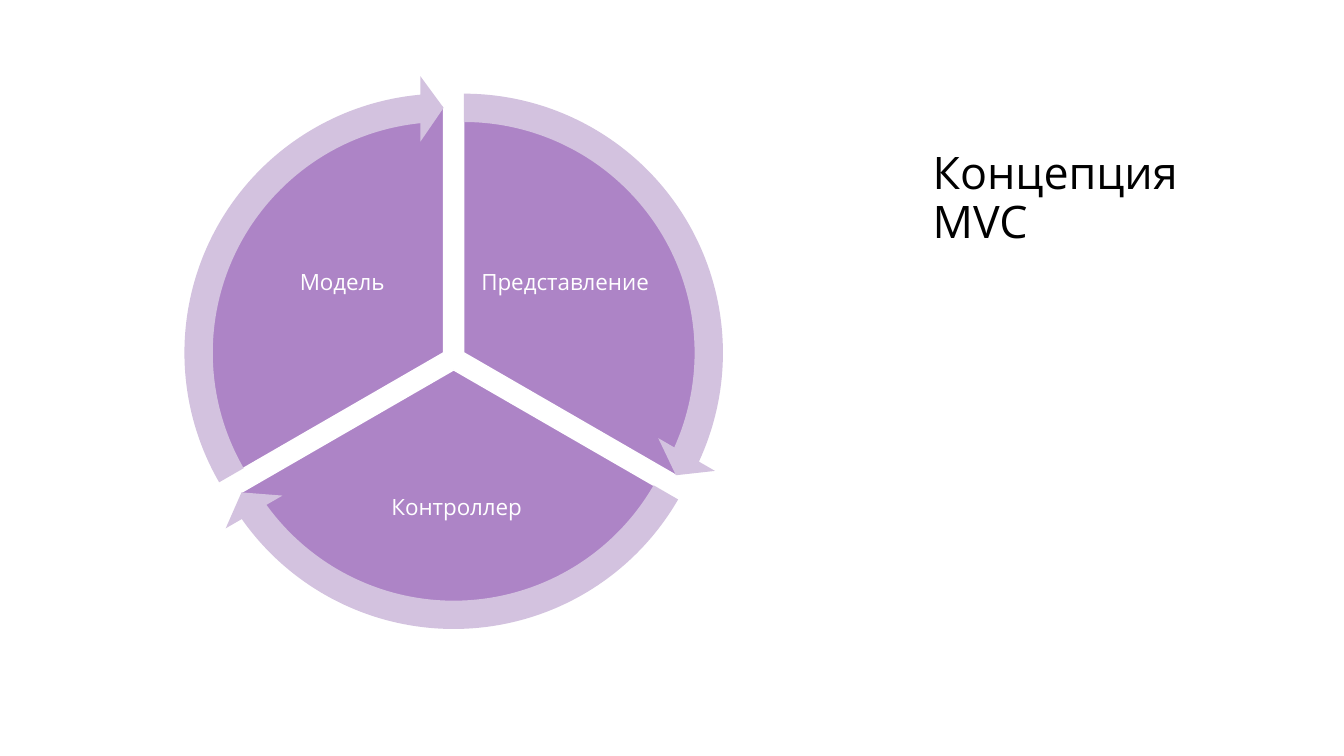
from pptx import Presentation
from pptx.dml.color import RGBColor
from pptx.enum.shapes import MSO_SHAPE as Preset
from pptx.enum.text import MSO_ANCHOR as Anchor, MSO_AUTO_SIZE as AutoSize, PP_ALIGN as Align
from pptx.util import Inches, Pt

COLORS = {"sector": "AD84C6", "arrow": "D3C2DF", "white": "FFFFFF", "title": "000000"}
PIE_SIZE, ARROW_SIZE = 4.9, 5.51
ARROW_SHIFT = (ARROW_SIZE - PIE_SIZE) / 2
BAND, HEAD_ANGLE, HEAD_WIDTH = 0.051, 3.27, 0.059
SECTORS = [
    ("Представление", 162, 18, (2.15, 1.05), (4.73, 2.08, 1.75, 1.46)),
    ("Контроллер", 18, 90, (2.05, 1.22), (3.22, 4.4, 2.62, 1.28)),
    ("Модель", 90, 162, (1.95, 1.05), (2.52, 2.08, 1.75, 1.46)),
]


class CycleSlide:
    """Holds the style and the slide of a cycle diagram."""

    font = "Open Sans"

    def __init__(self, deck):
        self.slide = deck.slides.add_slide(deck.slide_layouts[5])

    def color(self, name):
        return RGBColor.from_string(COLORS[name])

    def set_text(self, frame, text, size, color, align, anchor, inset):
        frame.text = text
        frame.word_wrap = True
        frame.auto_size = AutoSize.NONE
        frame.vertical_anchor = anchor
        frame.margin_left = frame.margin_right = Inches(inset)
        frame.margin_top = frame.margin_bottom = Inches(inset)
        paragraph = frame.paragraphs[0]
        paragraph.alignment = align
        paragraph.line_spacing = 0.9
        font = paragraph.runs[0].font
        font.name, font.size = self.font, Pt(size)
        font.color.rgb = self.color(color)

    def title(self, text, left, top, width, height):
        heading = self.slide.shapes.title
        heading.left, heading.top = Inches(left), Inches(top)
        heading.width, heading.height = Inches(width), Inches(height)
        self.set_text(heading.text_frame, text, 32, "title", Align.LEFT, Anchor.BOTTOM, 0)

    def label(self, text, box):
        caption = self.slide.shapes.add_textbox(*map(Inches, box))
        self.set_text(caption.text_frame, text, 16, "white", Align.CENTER, Anchor.MIDDLE, 0.02)

    def round_shape(self, preset, left, top, size, fill, adjustments):
        shape = self.slide.shapes.add_shape(
            preset, Inches(left), Inches(top), Inches(size), Inches(size))
        for index, value in enumerate(adjustments):
            shape.adjustments[index] = value
        shape.shadow.inherit = False
        shape.fill.solid()
        shape.fill.fore_color.rgb = self.color(fill)
        return shape

    def sector(self, left, top, start, end):
        pie = self.round_shape(Preset.PIE, left, top, PIE_SIZE, "sector", (start, end))
        pie.line.color.rgb = self.color("white")
        pie.line.width = Pt(1)

    def arrow(self, left, top, start, end):
        arrow = self.round_shape(
            Preset.CIRCULAR_ARROW, left - ARROW_SHIFT, top - ARROW_SHIFT, ARROW_SIZE,
            "arrow", (BAND, HEAD_ANGLE, end - HEAD_ANGLE, start, HEAD_WIDTH))
        arrow.line.fill.background()


def main():
    deck = Presentation()
    deck.slide_width, deck.slide_height = Inches(13.33), Inches(7.5)
    cycle = CycleSlide(deck)
    cycle.title("Концепция MVC", 9.25, 0.66, 3.46, 1.8)
    for name, start, end, corner, label_box in SECTORS:
        cycle.sector(*corner, start, end)
        cycle.label(name, label_box)
    for name, start, end, corner, label_box in SECTORS:
        cycle.arrow(*corner, start, end)
    deck.save("out.pptx")


if __name__ == "__main__":
    main()
